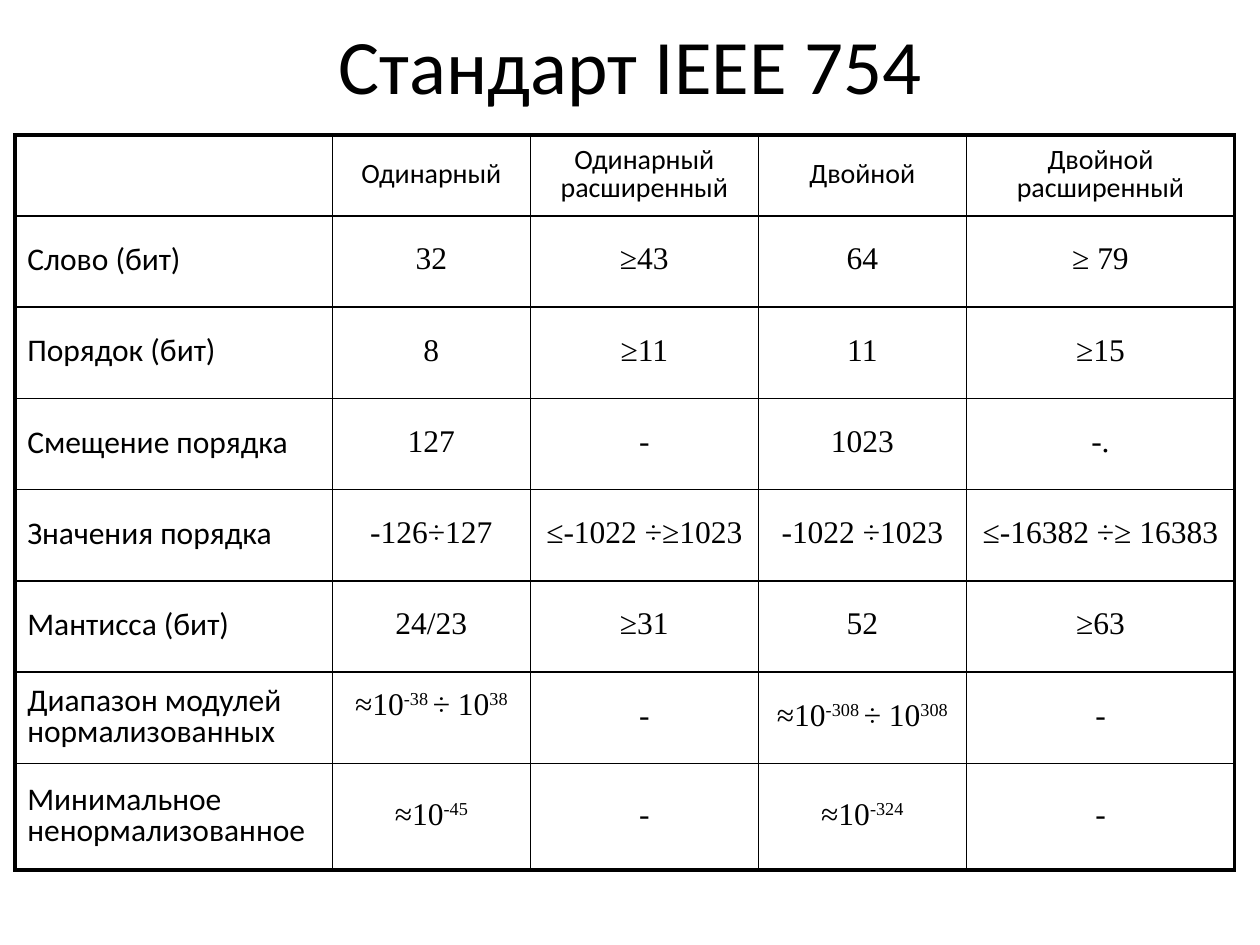
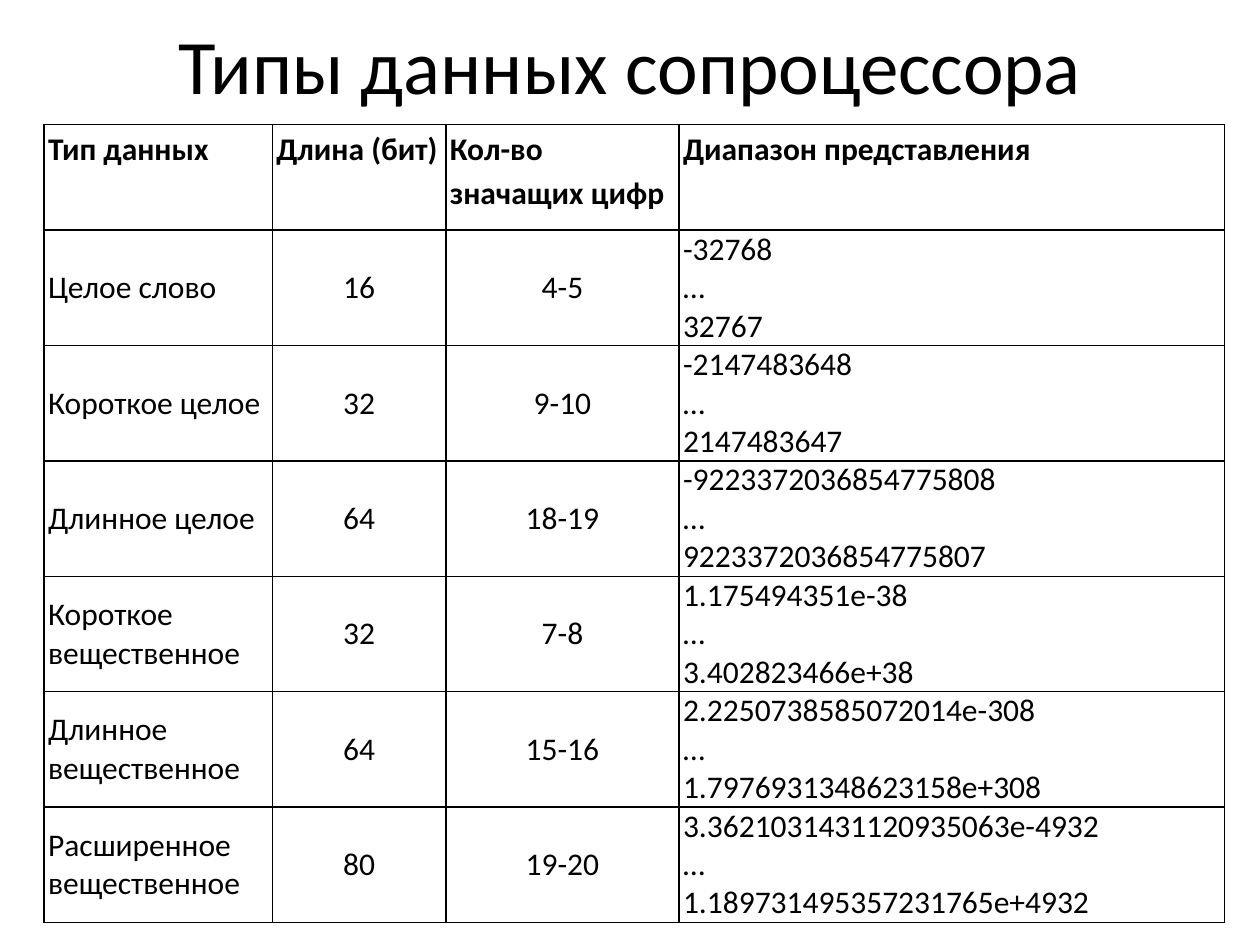
from dataclasses import dataclass, replace

import lxml.etree
import pptx
import pptx.dml.color
import pptx.enum.text
import pptx.oxml.ns
import pptx.util

Cm = pptx.util.Cm
ALIGN = pptx.enum.text.PP_ALIGN
ANCHOR = pptx.enum.text.MSO_ANCHOR
BLACK = "000000"
SANS = "Calibri"
SERIF = "Times New Roman"
THIN, THICK = 1.0, 2.25


@dataclass(frozen=True)
class Style:
    font: str = SANS
    size: float = 18
    bold: bool = False
    align: ALIGN = ALIGN.LEFT
    anchor: ANCHOR = ANCHOR.MIDDLE
    pitch: float = 1.0
    before: float = 0.0
    inset: tuple[float, float] = (0.25, 0.13)


@dataclass(frozen=True)
class Grid:
    left: float
    top: float
    cols: list[float]
    rows: list[float]
    text: list[list[str]]
    head: Style
    side: Style
    body: Style
    tail: Style
    frame: float

    def style(self, row: int, col: int) -> Style:
        if row == 0:
            return self.head
        if col == 0:
            return self.side
        return self.tail if col == len(self.cols) - 1 else self.body


def color(code: str) -> pptx.dml.color.RGBColor:
    return pptx.dml.color.RGBColor.from_string(code)


def paint(run, style: Style) -> None:
    run.font.name = style.font
    run.font.size = pptx.util.Pt(style.size)
    run.font.bold = style.bold
    run.font.color.rgb = color(BLACK)


def add_title(slide, text: str) -> None:
    title = slide.shapes.title
    title.left, title.top = Cm(0.71), Cm(0.15)
    title.width, title.height = Cm(24), Cm(3.18)
    frame = title.text_frame
    frame.text = text
    frame.word_wrap = True
    frame.auto_size = pptx.enum.text.MSO_AUTO_SIZE.NONE
    frame.vertical_anchor = ANCHOR.TOP
    frame.margin_top = Cm(0.2)
    frame.paragraphs[0].alignment = ALIGN.CENTER
    paint(frame.paragraphs[0].runs[0], Style(size=44))


def add_edges(cell, widths: dict[str, float]) -> None:
    props = cell._tc.get_or_add_tcPr()
    name = pptx.oxml.ns.qn
    for spot, (side, width) in enumerate(widths.items()):
        line = lxml.etree.Element(name(f"a:ln{side}"), w=str(int(pptx.util.Pt(width))))
        fill = lxml.etree.SubElement(line, name("a:solidFill"))
        lxml.etree.SubElement(fill, name("a:srgbClr"), val=BLACK)
        props.insert(spot, line)


def fill_cell(cell, text: str, style: Style) -> None:
    cell.fill.background()
    cell.vertical_anchor = style.anchor
    cell.margin_left = cell.margin_right = Cm(style.inset[0])
    cell.margin_top = cell.margin_bottom = Cm(style.inset[1])
    frame = cell.text_frame
    for index, line in enumerate(text.split("\n")):
        para = frame.add_paragraph() if index else frame.paragraphs[0]
        para.alignment = style.align
        para.line_spacing = style.pitch
        para.space_before = pptx.util.Pt(style.before * style.size)
        for order, part in enumerate(line.split("^")):
            if not part:
                continue
            run = para.add_run()
            run.text = part
            paint(run, style)
            if order % 2:
                run._r.get_or_add_rPr().set("baseline", "30000")


def add_grid(slide, grid: Grid):
    high, wide = len(grid.rows), len(grid.cols)
    table = slide.shapes.add_table(
        high, wide, Cm(grid.left), Cm(grid.top), Cm(sum(grid.cols)), Cm(sum(grid.rows))
    ).table
    table.first_row = table.horz_banding = False
    for col, width in zip(table.columns, grid.cols):
        col.width = Cm(width)
    for row, height in zip(table.rows, grid.rows):
        row.height = Cm(height)
    for y, line in enumerate(grid.text):
        for x, text in enumerate(line):
            cell = table.cell(y, x)
            fill_cell(cell, text, grid.style(y, x))
            outer = {"L": x == 0, "R": x == wide - 1, "T": y == 0, "B": y == high - 1}
            add_edges(cell, {k: grid.frame if v else THIN for k, v in outer.items()})
    return table


TIGHT = Style(pitch=0.8, before=0.2)
VALUE = replace(TIGHT, font=SERIF, align=ALIGN.CENTER)
FLOATS = Grid(
    left=0.3,
    top=2.72,
    cols=[6.4, 3.99, 4.6, 4.19, 5.41],
    rows=[1.63] + [1.84] * 6 + [2.15],
    text=[
        ["", "Одинарный", "Одинарный расширенный", "Двойной", "Двойной расширенный"],
        ["Слово (бит)", "32", "≥43", "64", "≥ 79"],
        ["Порядок (бит)", "8", "≥11", "11", "≥15"],
        ["Смещение порядка", "127", "-", "1023", "-."],
        ["Значения порядка", "-126÷127", "≤-1022 ÷≥1023", "-1022 ÷1023", "≤-16382 ÷≥ 16383"],
        ["Мантисса (бит)", "24/23", "≥31", "52", "≥63"],
        ["Диапазон модулей нормализованных", "≈10^-38 ^÷ 10^38", "-", "≈10^-308 ^÷ 10^308", "-"],
        ["Минимальное ненормализованное", "≈10^-45", "-", "≈10^-324", "-"],
    ],
    head=replace(TIGHT, size=16, align=ALIGN.CENTER),
    side=TIGHT,
    body=VALUE,
    tail=VALUE,
    frame=THICK,
)

PLAIN = Style(inset=(0.08, 0))
TYPES = Grid(
    left=0.89,
    top=2.51,
    cols=[4.6, 3.5, 4.7, 11],
    rows=[2.13] * 7,
    text=[
        ["Тип данных", "Длина (бит)", "Кол-во значащих цифр", "Диапазон представления"],
        ["Целое слово", "16", "4-5", "-32768\n…\n32767"],
        ["Короткое целое", "32", "9-10", "-2147483648\n…\n2147483647"],
        ["Длинное целое", "64", "18-19", "-9223372036854775808\n…\n9223372036854775807"],
        ["Короткое вещественное", "32", "7-8", "1.175494351е-38\n…\n3.402823466е+38"],
        ["Длинное вещественное", "64", "15-16",
         "2.2250738585072014е-308\n…\n1.7976931348623158е+308"],
        ["Расширенное вещественное", "80", "19-20",
         "3.3621031431120935063е-4932\n…\n1.189731495357231765е+4932"],
    ],
    head=replace(PLAIN, bold=True, anchor=ANCHOR.TOP, pitch=1.15),
    side=PLAIN,
    body=replace(PLAIN, align=ALIGN.CENTER),
    tail=replace(PLAIN, anchor=ANCHOR.TOP),
    frame=THIN,
)


def main() -> None:
    deck = pptx.Presentation()
    deck.slide_width, deck.slide_height = Cm(25.4), Cm(19.05)
    tables = []
    for title, grid in (("Стандарт IEEE 754", FLOATS), ("Типы данных сопроцессора", TYPES)):
        slide = deck.slides.add_slide(deck.slide_layouts[5])
        add_title(slide, title)
        tables.append(add_grid(slide, grid))
    tables[0].cell(6, 1).margin_bottom = Cm(0.57)
    deck.save("out.pptx")


if __name__ == "__main__":
    main()
